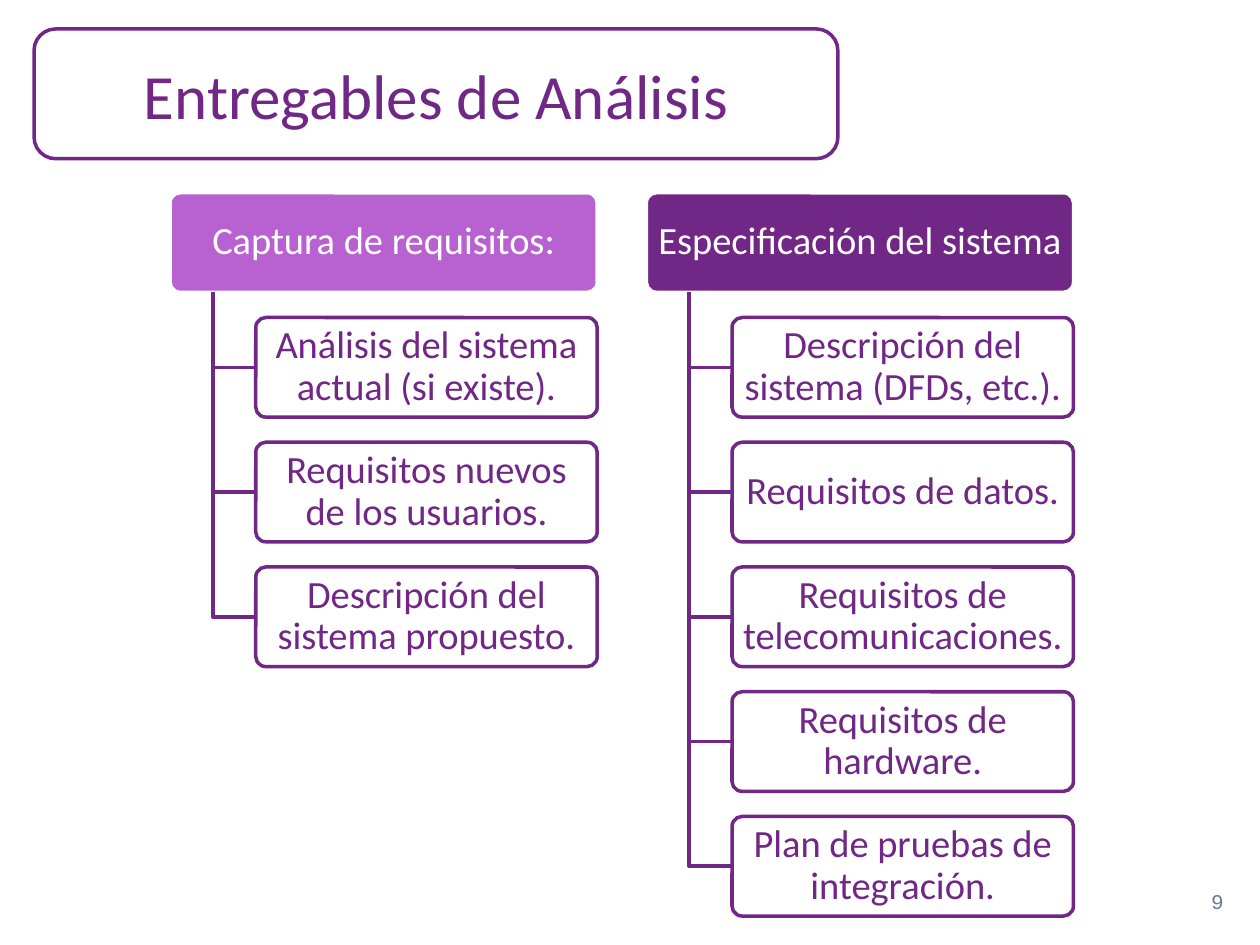
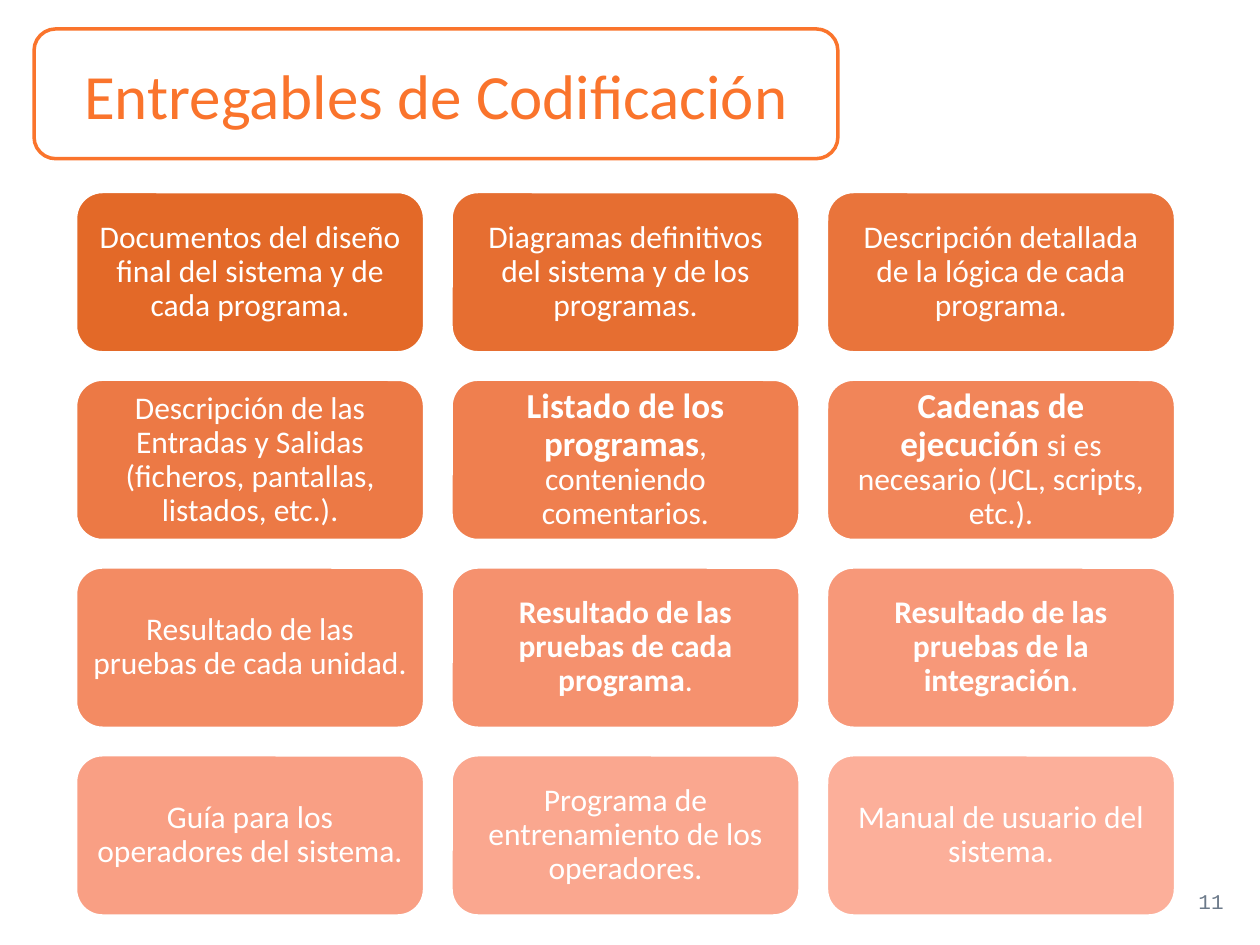
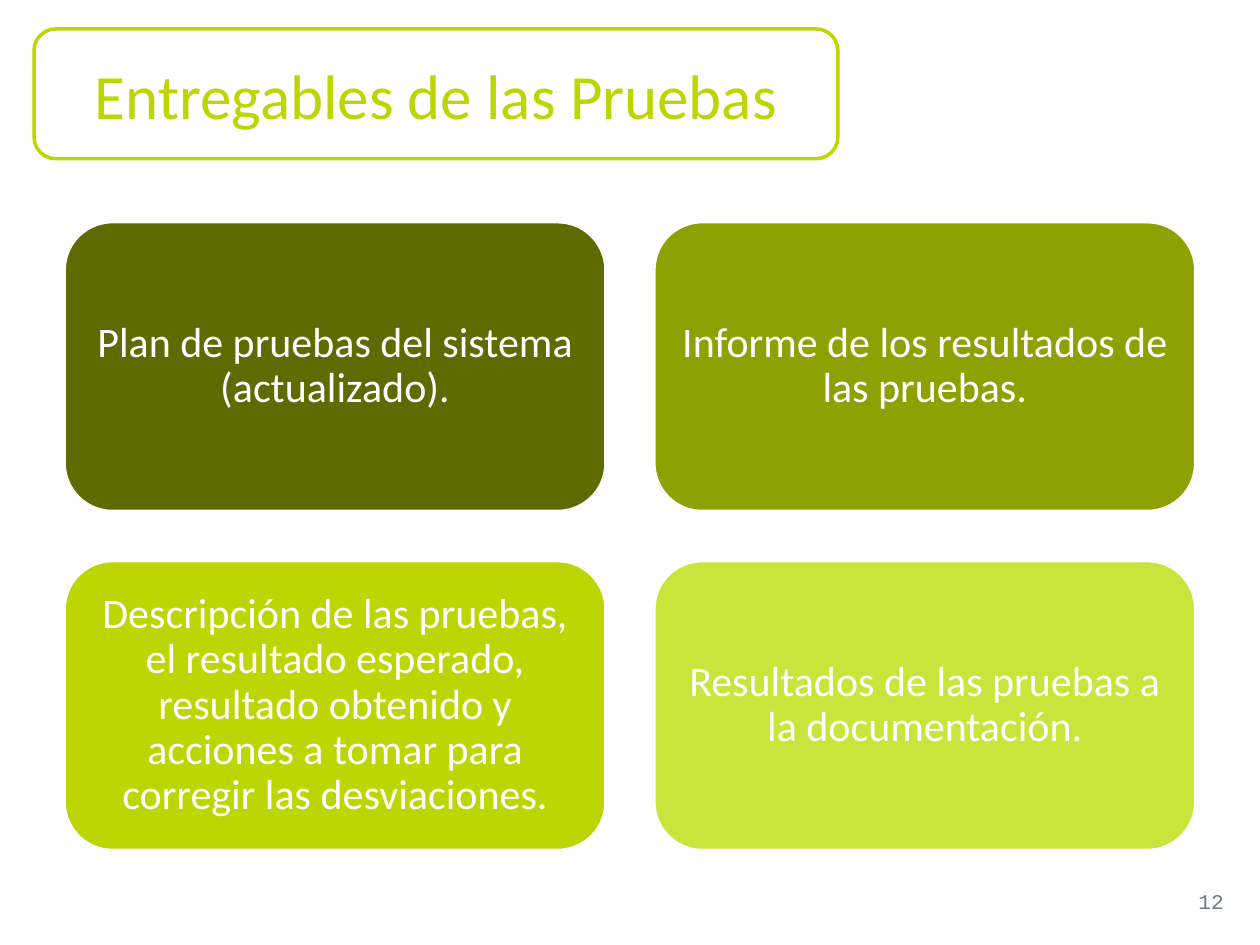
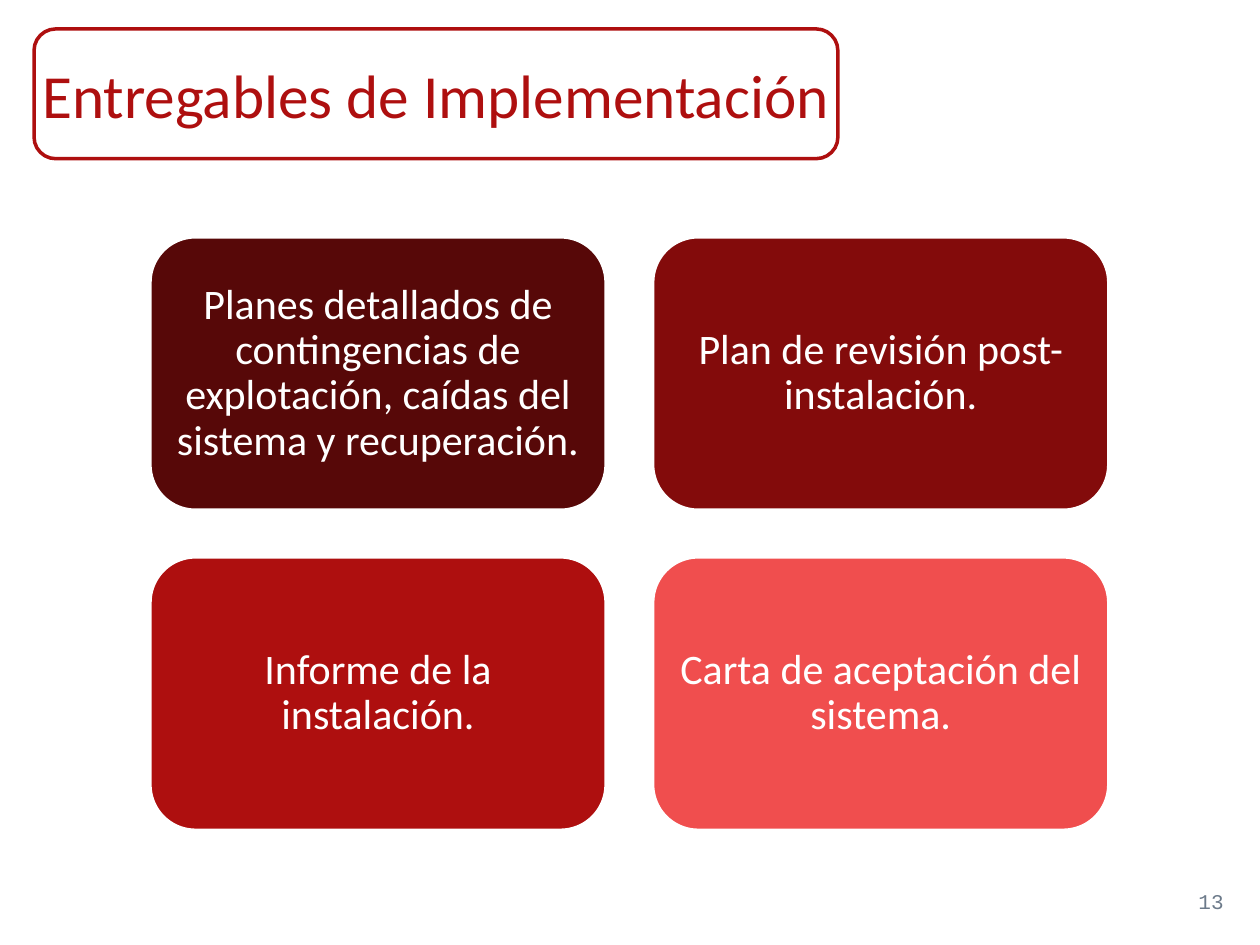
from dataclasses import dataclass

from pptx import Presentation
from pptx.dml.color import RGBColor as RGB
from pptx.enum.shapes import MSO_SHAPE as SHAPE
from pptx.enum.text import MSO_ANCHOR as ANCHOR, MSO_AUTO_SIZE as FIT, PP_ALIGN as ALIGN
from pptx.util import Inches, Pt


@dataclass(frozen=True)
class Theme:
    font: str = "Calibri"
    mono: str = "Courier New"
    white: str = "FFFFFF"
    gray: str = "6C7A8A"
    purple: str = "702785"
    lilac: str = "B862D1"
    orange: str = "FA742C"
    lime: str = "BDD503"
    red: str = "AE0F0F"
    line: int = 2
    head: int = 36
    tight: int = 35
    big: int = 24
    tree: int = 22
    bold: int = 20
    body: int = 18
    page: int = 12


T = Theme()
deck = Presentation()
deck.slide_width, deck.slide_height = Inches(10), Inches(7.5)


def card(slide, x, y, w, h, text, size, fill, inset, ink=T.white, edge=T.white):
    """Add a rounded box; a (strong, plain, points) text opens in bold."""
    box = slide.shapes.add_shape(SHAPE.ROUNDED_RECTANGLE, Inches(x), Inches(y), Inches(w), Inches(h))
    box.shadow.inherit = False
    box.fill.solid()
    box.fill.fore_color.rgb = RGB.from_string(fill)
    box.line.color.rgb = RGB.from_string(edge)
    box.line.width = Pt(T.line)
    if not text:
        return box
    frame = box.text_frame
    frame.word_wrap = True
    frame.vertical_anchor = ANCHOR.MIDDLE
    frame.margin_left = frame.margin_right = Inches(inset[0])
    frame.margin_top = frame.margin_bottom = Inches(inset[1])
    para = frame.paragraphs[0]
    para.alignment, para.line_spacing = ALIGN.CENTER, 0.9
    para.font.name, para.font.size = T.font, Pt(size)
    para.font.color.rgb = RGB.from_string(ink)
    if isinstance(text, str):
        para.add_run().text = text
    else:
        strong, plain, pts = text
        run = para.add_run()
        run.text, run.font.bold, run.font.size = strong, True, Pt(pts)
        para.add_run().text = plain
    return box


def start(text, page, ink, size=T.head):
    """Add a slide with its framed title and page number."""
    slide = deck.slides.add_slide(deck.slide_layouts[5])
    title = slide.shapes.title
    area = (0.27, 0.23, 6.38, 1.03)
    title.left, title.top, title.width, title.height = map(Inches, area)
    # The rounded frame goes behind the title
    rim = card(slide, *area, "", size, T.white, (0, 0), ink, ink)
    title._element.addprevious(rim._element)
    note = slide.shapes.add_textbox(Inches(7.56), Inches(6.95), Inches(2.25), Inches(0.4))
    for shape, words, face, pts, color, align, side in (
        (title, text, T.font, size, ink, ALIGN.CENTER, 0.02),
        (note, str(page), T.mono, T.page, T.gray, ALIGN.RIGHT, 0.1),
    ):
        frame = shape.text_frame
        frame.text = words
        frame.auto_size = FIT.NONE
        frame.word_wrap = True
        frame.vertical_anchor = ANCHOR.MIDDLE
        frame.margin_left = frame.margin_right = Inches(side)
        para = frame.paragraphs[0]
        para.alignment = align
        para.font.name, para.font.size = face, Pt(pts)
        para.font.color.rgb = RGB.from_string(color)
    return slide


# Analysis: two trees
slide = start("Entregables de Análisis", 9, T.purple)
top, high, step, pad = 1.53, 0.79, 0.99, (0.05, 0.03)
trees = (
    (1.35, T.lilac, "Captura de requisitos:", (
        "Análisis del sistema actual (si existe).",
        "Requisitos nuevos de los usuarios.",
        "Descripción del sistema propuesto.",
    )),
    (5.13, T.purple, "Especificación del sistema", (
        "Descripción del sistema (DFDs, etc.).",
        "Requisitos de datos.",
        "Requisitos de telecomunicaciones.",
        "Requisitos de hardware.",
        "Plan de pruebas de integración.",
    )),
)
for x, fill, root, leaves in trees:
    card(slide, x, top, 3.39, high, root, T.tree, fill, pad).adjustments[0] = 0.1
    trunk, left = x + 0.34, x + 0.68
    for row, leaf in enumerate(leaves, 1):
        y = top + row * step
        mid = Inches(y + high / 2)
        path = slide.shapes.build_freeform(Inches(trunk), Inches(top + high))
        path.add_line_segments([(Inches(trunk), mid), (Inches(left), mid)], close=False)
        elbow = path.convert_to_shape()
        elbow.shadow.inherit = False
        elbow.fill.background()
        elbow.line.color.rgb = RGB.from_string(T.purple)
        elbow.line.width = Pt(T.line)
        node = card(slide, left, y, 2.71, high, leaf, T.tree, T.white, pad, T.purple, T.purple)
        node.adjustments[0] = 0.1

# Card grids: title, page, ink, title size, (left, top, width, height),
# (column step, row step), text size, side inset of each column, cards
grids = (
    ("Entregables de Codificación", 11, T.orange, T.head,
     (0.6, 1.52, 2.77, 1.28), (2.98, 1.49), T.body, (0.07, 0.07, 0.09), (
         ("E36928", "Documentos del diseño final del sistema y de cada programa."),
         ("E66E31", "Diagramas definitivos del sistema y de los programas."),
         ("E9743B", "Descripción detallada de la lógica de cada programa."),
         ("EC7945", "Descripción de las Entradas y Salidas (ficheros, pantallas, listados, etc.)."),
         ("EF7F4F", ("Listado de los programas", ", conteniendo comentarios.", T.bold)),
         ("F18559", ("Cadenas de ejecución ", "si es necesario (JCL, scripts, etc.).", T.bold)),
         ("F38B63", "Resultado de las pruebas de cada unidad."),
         ("F5916E", ("Resultado de las pruebas de cada programa", ".", T.body)),
         ("F79879", ("Resultado de las pruebas de la integración", ".", T.body)),
         ("F99F84", "Guía para los operadores del sistema."),
         ("FAA78F", "Programa de entrenamiento de los operadores."),
         ("FCAF9A", "Manual de usuario del sistema."),
     )),
    ("Entregables de las Pruebas", 12, T.lime, T.head,
     (0.51, 1.76, 4.3, 2.3), (4.68, 2.69), T.big, (0.1, 0.1), (
         ("5F6A01", "Plan de pruebas del sistema (actualizado)."),
         ("8EA002", "Informe de los resultados de las pruebas."),
         (T.lime, "Descripción de las pruebas, el resultado esperado, resultado obtenido "
                  "y acciones a tomar para corregir las desviaciones."),
         ("C9E43B", "Resultados de las pruebas a la documentación."),
     )),
    ("Entregables de Implementación", 13, T.red, T.tight,
     (1.19, 1.88, 3.62, 2.17), (3.99, 2.54), T.big, (0.1, 0.1), (
         ("570808", "Planes detallados de contingencias de explotación, caídas del sistema "
                    "y recuperación."),
         ("830B0B", "Plan de revisión post-instalación."),
         (T.red, "Informe de la instalación."),
         ("F04E4E", "Carta de aceptación del sistema."),
     )),
)
for title, page, ink, head, (x, y, w, h), (dx, dy), size, sides, cards in grids:
    slide = start(title, page, ink, head)
    for i, (fill, text) in enumerate(cards):
        row, col = divmod(i, len(sides))
        inset = (sides[col], sides[0])
        card(slide, x + col * dx, y + row * dy, w, h, text, size, fill, inset)

deck.save("out.pptx")
